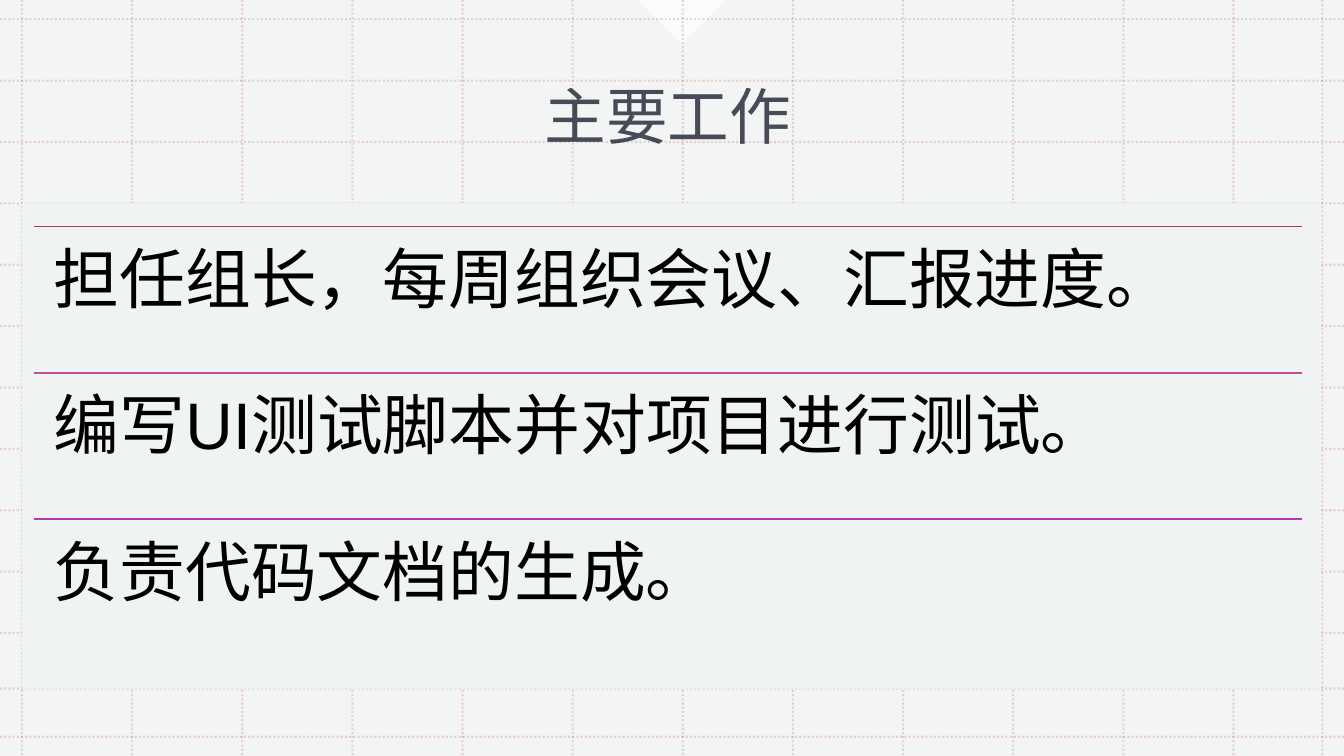
from lxml import etree
from pptx import Presentation
from pptx.dml.color import RGBColor
from pptx.enum.dml import MSO_LINE
from pptx.enum.shapes import MSO_CONNECTOR, MSO_SHAPE
from pptx.enum.text import MSO_ANCHOR, MSO_AUTO_SIZE, PP_ALIGN
from pptx.oxml.ns import qn
from pptx.util import Pt

RECT, CORNER = MSO_SHAPE.RECTANGLE, MSO_SHAPE.RIGHT_TRIANGLE
STRAIGHT, DOTS = MSO_CONNECTOR.STRAIGHT, MSO_LINE.ROUND_DOT
TOP, MIDDLE = MSO_ANCHOR.TOP, MSO_ANCHOR.MIDDLE
LEFT, CENTER = PP_ALIGN.LEFT, PP_ALIGN.CENTER
NO_FIT = MSO_AUTO_SIZE.NONE

PAPER = RGBColor(0xF3, 0xF5, 0xF5)
PANEL = RGBColor(0xF0, 0xF3, 0xF3)
WHITE = RGBColor(0xFF, 0xFF, 0xFF)
BLACK = RGBColor(0x00, 0x00, 0x00)
INK = RGBColor(0x1B, 0x21, 0x30)
RED = RGBColor(0xB1, 0x3B, 0x4F)
PINK = RGBColor(0xC3, 0x4D, 0x92)
PLUM = RGBColor(0xB1, 0x3B, 0xB1)

WIDE, HIGH = 960, 540
TASKS = [
    ("担任组长，每周组织会议、汇报进度。", RED),
    ("编写UI测试脚本并对项目进行测试。", PINK),
    ("负责代码文档的生成。", PLUM),
]


def assign(target, values):
    for name, value in values.items():
        setattr(target, name, value)


def fade(node, percent):
    """Set the opacity of the first colour found under an XML node."""
    color = next(node.iter(qn("a:srgbClr")))
    etree.SubElement(color, qn("a:alpha"), val=str(percent * 1000))


def add_rule(slide, x1, y1, x2, y2, color, width):
    rule = slide.shapes.add_connector(STRAIGHT, Pt(x1), Pt(y1), Pt(x2), Pt(y2))
    rule.line.color.rgb = color
    rule.line.width = Pt(width)
    etree.SubElement(rule.element.spPr, qn("a:effectLst"))
    return rule


def add_block(slide, kind, box, color):
    block = slide.shapes.add_shape(kind, *map(Pt, box))
    block.shadow.inherit = False
    block.fill.solid()
    block.fill.fore_color.rgb = color
    block.line.fill.background()
    return block


def add_text(shape, text, frame, align, font):
    assign(shape.text_frame, {"word_wrap": True, "auto_size": NO_FIT, **frame})
    para = shape.text_frame.paragraphs[0]
    assign(para, {"alignment": align, "line_spacing": 0.9})
    run = para.add_run()
    run.text = text
    color = font.pop("color")
    assign(run.font, font)
    run.font.color.rgb = color
    return run


def add_grid(slide, box):
    x, y, w, h = box
    cols = [x + 15.7 + 78.67 * i for i in range(12)] + [x + 944.6]
    rows = [y + 13.7 + 43.85 * i for i in range(11)] + [y + 491.8, y + 526.3]
    ends = [(c, y, c, y + h) for c in cols] + [(x, r, x + w, r) for r in rows]
    for end in ends:
        rule = add_rule(slide, *end, RED, 1.5)
        rule.line.dash_style = DOTS
        fade(rule.element, 20)


def add_notch(slide, mid, top, side):
    """Point a white triangle down from the slide's top edge."""
    box = (mid - side / 2, top - side / 2, side, side)
    notch = add_block(slide, CORNER, box, WHITE)
    notch.rotation = 315
    fade(notch.element.spPr, 75)


def add_title(slide, box, text):
    title = slide.shapes.title
    assign(title, dict(zip(("left", "top", "width", "height"), map(Pt, box))))
    title.element.getparent().append(title.element)
    run = add_text(title, text, {"vertical_anchor": MIDDLE}, CENTER,
                   {"name": "Calibri", "size": Pt(44), "color": INK})
    fade(run.font._element, 80)


def add_tasks(slide, box, tasks):
    x, y, w, h = box
    step = h / len(tasks)
    sides = ("left", "right", "top", "bottom")
    frame = {f"margin_{side}": Pt(14.4) for side in sides}
    frame["vertical_anchor"] = TOP
    for i, (text, color) in enumerate(tasks):
        top = y + i * step
        add_rule(slide, x, top, x + w, top, color, 1)
        label = slide.shapes.add_textbox(Pt(x), Pt(top), Pt(w), Pt(step))
        add_text(label, text, frame, LEFT,
                 {"name": "Arial", "size": Pt(47), "color": BLACK})


def main():
    deck = Presentation()
    assign(deck, {"slide_width": Pt(WIDE), "slide_height": Pt(HIGH)})
    slide = deck.slides.add_slide(deck.slide_layouts[5])
    slide.background.fill.solid()
    slide.background.fill.fore_color.rgb = PAPER
    add_notch(slide, 487.2, 0, 44.6)
    add_grid(slide, (0, 0, WIDE, HIGH))
    add_block(slide, RECT, (15.7, 145, 928.3, 347), PANEL)
    add_title(slide, (24, 26.6, 906, 118), "主要工作")
    add_tasks(slide, (24, 162, 906, 313.2), TASKS)
    deck.save("out.pptx")


if __name__ == "__main__":
    main()
